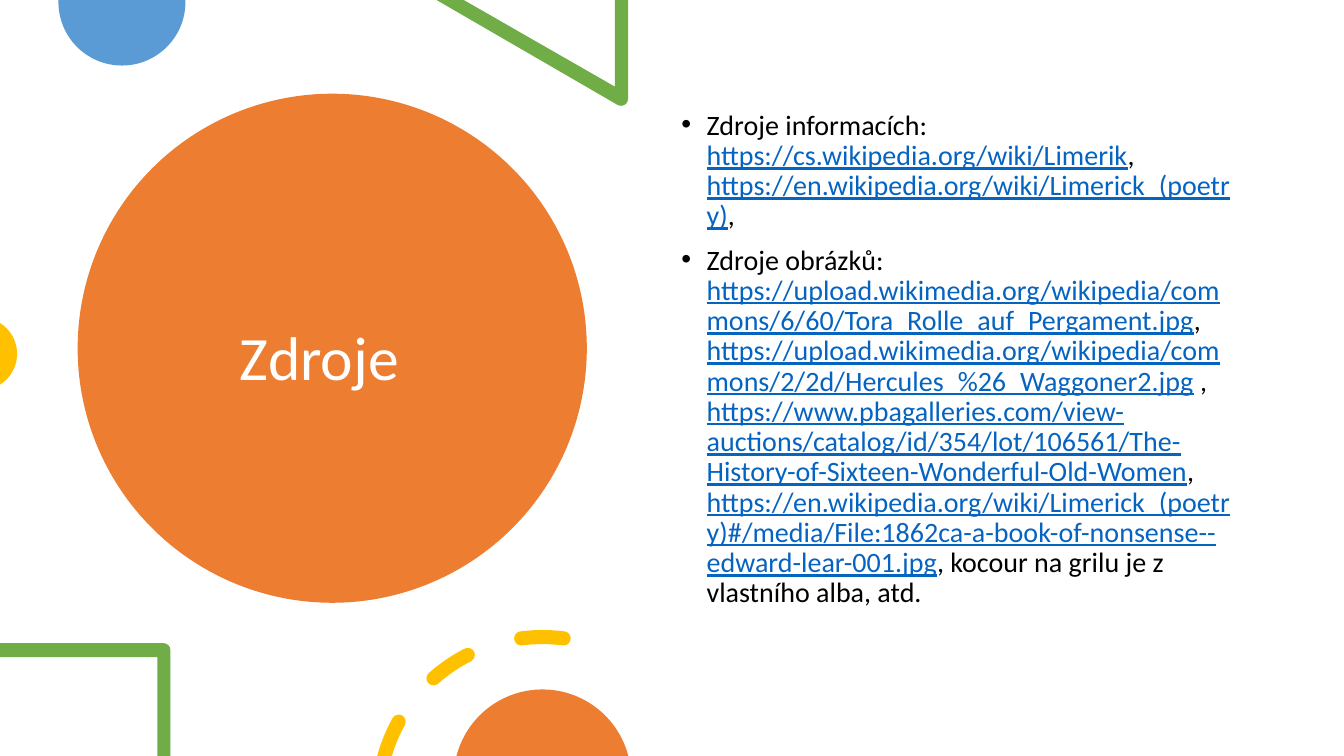
import math

from lxml import etree
from pptx import Presentation
from pptx import util as u
from pptx.dml.color import RGBColor
from pptx.enum import shapes, text
from pptx.oxml.ns import qn

ORANGE, GREEN, BLUE, YELLOW = "ED7D31", "70AD47", "5B9BD5", "FFC000"
WHITE, BLACK, LINK = "FFFFFF", "000000", "0563C1"
SLIDE_W, SLIDE_H = 13.33, 7.5


def rgb(value):
    return RGBColor.from_string(value)


def polar(cx, cy, radius, angle):
    a = math.radians(angle)
    return cx + radius * math.cos(a), cy + radius * math.sin(a)


def arc(cx, cy, radius, start, end):
    """Start point and Bezier curves; degrees run clockwise from the right."""
    low, high = sorted((start, end))
    quarters = [q for q in range(-360, 721, 90) if low < q < high]
    stops = sorted([start, *quarters, end], reverse=start > end)
    steps = [[polar(cx, cy, radius, start)]]
    for a, b in zip(stops, stops[1:]):
        k = 4 / 3 * math.tan(math.radians(b - a) / 4)
        (x0, y0), (x3, y3) = (polar(cx, cy, radius, t) for t in (a, b))
        steps.append([(x0 - k * (y0 - cy), y0 + k * (x0 - cx)),
                      (x3 + k * (y3 - cy), y3 - k * (x3 - cx)), (x3, y3)])
    return steps


def lines(*points):
    return [[p] for p in points]


def round_dash(cx, cy, radius, half, start, end):
    """Round-ended ring segment; without a start it begins at the bottom edge."""
    outer, inner = radius + half, radius - half
    if start is None:
        starts = [180 + math.degrees(math.asin((cy - SLIDE_H) / r))
                  for r in (outer, inner)]
        start_cap = []
    else:
        starts = [start, start]
        start_cap = arc(*polar(cx, cy, radius, start), half,
                        start - 180, start)[1:]
    end_cap = arc(*polar(cx, cy, radius, end), half, end, end + 180)[1:]
    return (arc(cx, cy, outer, starts[0], end) + end_cap
            + arc(cx, cy, inner, end, starts[1])[1:] + start_cap)


def add_text(p, content, size=20, color=BLACK, font="Calibri", underline=False):
    r = p.add_run()
    r.text = content
    r.font.size = u.Pt(size)
    r.font.name = font
    r.font.color.rgb = rgb(color)
    r.font.underline = underline
    return r


class SlideBuilder:
    def __init__(self, prs):
        self.slide = prs.slides.add_slide(prs.slide_layouts[6])

    def paint(self, sp, color):
        sp.fill.solid()
        sp.fill.fore_color.rgb = rgb(color)
        sp.line.fill.background()
        sp.shadow.inherit = False

    def circle(self, x, y, size, color):
        sp = self.slide.shapes.add_shape(
            shapes.MSO_SHAPE.OVAL, *map(u.Inches, (x, y, size, size)))
        self.paint(sp, color)

    def outline(self, contours, color):
        fb, sizes = None, []
        for contour in contours:
            steps = [[(u.Inches(x), u.Inches(y)) for x, y in step]
                     for step in contour]
            first = steps[0][0]
            if fb is None:
                fb = self.slide.shapes.build_freeform(*first)
            else:
                fb.move_to(*first)
            fb.add_line_segments([p for step in steps[1:] for p in step],
                                 close=True)
            sizes += [len(step) for step in steps[1:]]
        sp = fb.convert_to_shape()
        # Each step of three points becomes one curve
        segments = iter(list(sp._element.iter(qn("a:lnTo"))))
        for size in sizes:
            head, *rest = [next(segments) for _ in range(size)]
            if rest:
                head.tag = qn("a:cubicBezTo")
            for segment in rest:
                head.append(segment[0])
                segment.getparent().remove(segment)
        self.paint(sp, color)

    def text_frame(self, x, y, w, h):
        tf = self.slide.shapes.add_textbox(*map(u.Inches, (x, y, w, h))).text_frame
        tf.word_wrap = True
        tf.vertical_anchor = text.MSO_ANCHOR.MIDDLE
        return tf

    def title(self, content, box):
        p = self.text_frame(*box).paragraphs[0]
        p.line_spacing = 0.9
        add_text(p, content, size=44, color=WHITE)

    def bullets(self, items, box):
        tf = self.text_frame(*box)
        for i, runs in enumerate(items):
            p = tf.add_paragraph() if i else tf.paragraphs[0]
            pPr = p._p.get_or_add_pPr()
            pPr.set("marL", str(u.Inches(0.25)))
            pPr.set("indent", str(-u.Inches(0.25)))
            etree.SubElement(pPr, qn("a:buFont"), typeface="Arial")
            etree.SubElement(pPr, qn("a:buChar"), char="•")
            p.line_spacing = 0.9
            p.space_before = u.Pt(10 if i else 0)
            for content in runs:
                is_link = content.startswith("https://")
                add_text(p, content, color=LINK if is_link else BLACK,
                         underline=is_link)


SOURCES = [
    ["Zdroje informacích: ",
     "https://cs.wikipedia.org/wiki/Limerik", ", ",
     "https://en.wikipedia.org/wiki/Limerick_(poetry)", ","],
    ["Zdroje obrázků: ",
     "https://upload.wikimedia.org/wikipedia/commons/6/60/Tora_Rolle_auf_Pergament.jpg",
     ", ",
     "https://upload.wikimedia.org/wikipedia/commons/2/2d/Hercules_%26_Waggoner2.jpg",
     " , ",
     "https://www.pbagalleries.com/view-auctions/catalog/id/354/lot/106561/"
     "The-History-of-Sixteen-Wonderful-Old-Women", ", ",
     "https://en.wikipedia.org/wiki/Limerick_(poetry)#/media/"
     "File:1862ca-a-book-of-nonsense--edward-lear-001.jpg",
     ", kocour na grilu je z vlastního alba, atd."],
]


def main():
    prs = Presentation()
    prs.slide_width, prs.slide_height = u.Inches(SLIDE_W), u.Inches(SLIDE_H)
    s = SlideBuilder(prs)

    # Title on the large circle
    s.circle(0.77, 0.93, 5.05, ORANGE)
    s.title("Zdroje", (2.28, 1.35, 3.54, 4.45))

    # Discs cut by the top and left edges
    s.outline([lines((0.58, 0), (1.84, 0)) + arc(1.21, 0.02, 0.63, 0, 180)], BLUE)
    s.outline([arc(-0.19, 3.51, 0.36, -58, 58)], YELLOW)

    # Green triangle with a rounded corner
    triangle = lines((6.23, 0), (6.1, 0), (6.1, 0.86), (4.6, 0), (4.33, 0))
    s.outline([triangle + arc(6.16, 0.98, 0.07, 115, 0)], GREEN)

    # List of sources
    s.bullets(SOURCES, (6.66, 0.9, 5.75, 5.34))

    # Green square with a rounded corner
    square = lines((0, 6.38), (0, 6.52), (1.56, 6.52), (1.56, 7.5), (1.69, 7.5))
    s.outline([square + arc(1.62, 6.45, 0.07, 0, -90)], GREEN)

    # Dashed ring around the bottom disc
    dashes = [(None, 209), (228.5, 243), (262.6, 277.4)]
    s.outline([round_dash(5.38, 7.95, 1.63, 0.07, *d) for d in dashes], YELLOW)
    s.outline([arc(5.38, 7.72, 0.88, 194.5, 345.5)], ORANGE)
    prs.save("out.pptx")


if __name__ == "__main__":
    main()
